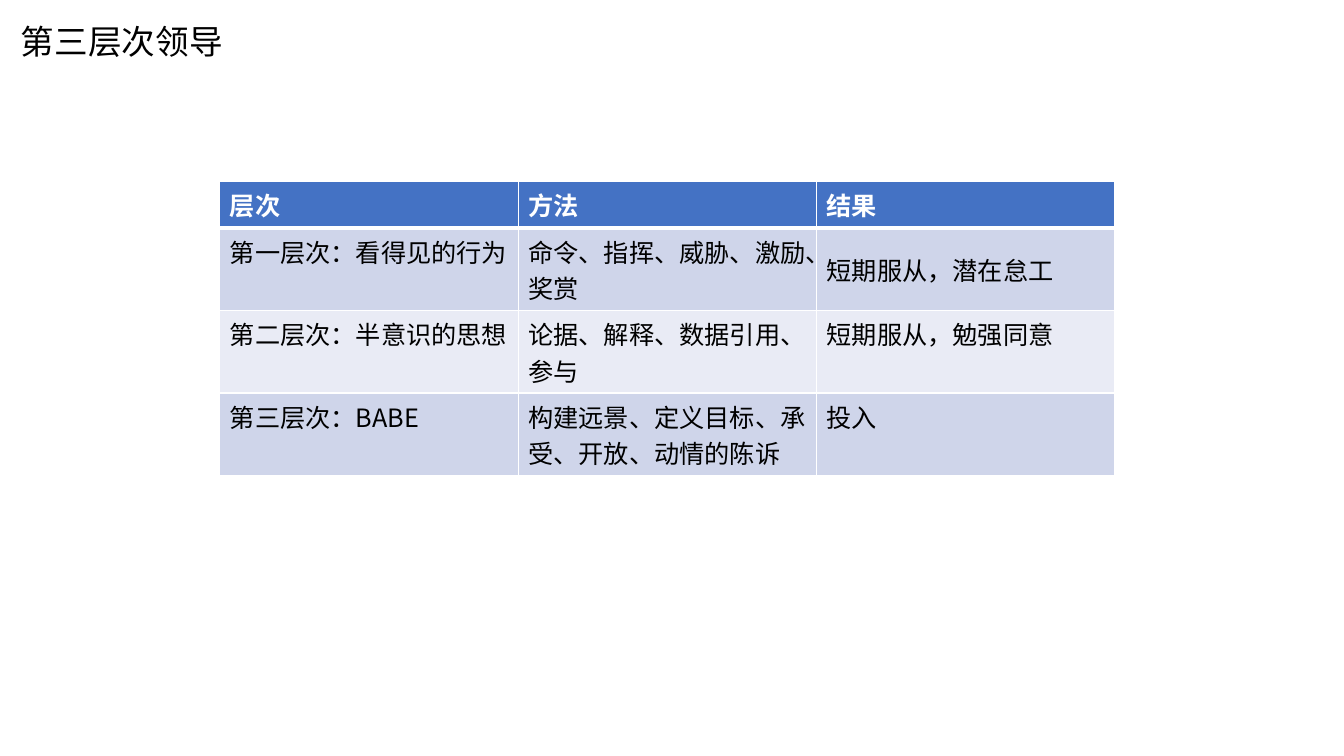
from lxml.etree import Element, SubElement
from pptx import Presentation
from pptx.dml.color import RGBColor
from pptx.enum.text import MSO_ANCHOR
from pptx.oxml.ns import qn
from pptx.util import Inches, Pt

FONT = "Noto Sans CJK SC"
BLACK = RGBColor(0x00, 0x00, 0x00)
WHITE = RGBColor(0xFF, 0xFF, 0xFF)
HEADER_BLUE = RGBColor(0x44, 0x72, 0xC4)
BAND_DARK = RGBColor(0xCF, 0xD5, 0xEA)
BAND_LIGHT = RGBColor(0xE9, 0xEB, 0xF5)
HEADER_HEIGHT = 0.46
LEVEL_HEIGHT = 0.82
COLUMN_WIDTH = 2.96

LEVELS = [
    ("层次", "方法", "结果"),
    ("第一层次：看得见的行为", "命令、指挥、威胁、激励、奖赏", "短期服从，潜在怠工"),
    ("第二层次：半意识的思想", "论据、解释、数据引用、参与", "短期服从，勉强同意"),
    ("第三层次：BABE", "构建远景、定义目标、承受、开放、动情的陈诉", "投入"),
]


def add_text(paragraph, text, size, color, bold=False):
    run = paragraph.add_run()
    run.text = text
    run.font.size = Pt(size)
    run.font.bold = bold
    run.font.color.rgb = color
    run.font.name = FONT
    SubElement(run.font._element, qn("a:ea")).set("typeface", FONT)


def add_borders(cell, widths):
    properties = cell._tc.get_or_add_tcPr()
    for position, (side, width) in enumerate(widths.items()):
        border = Element(qn(f"a:ln{side}"), w=str(Pt(width)))
        fill = SubElement(border, qn("a:solidFill"))
        SubElement(fill, qn("a:srgbClr")).set("val", str(WHITE))
        properties.insert(position, border)


deck = Presentation()
deck.slide_width = Inches(13.33)
deck.slide_height = Inches(7.5)
slide = deck.slides.add_slide(deck.slide_layouts[6])

heading = slide.shapes.add_textbox(
    Inches(0.11), Inches(0.04), Inches(11.58), Inches(0.79)
).text_frame
heading.word_wrap = True
heading.vertical_anchor = MSO_ANCHOR.MIDDLE
heading.paragraphs[0].line_spacing = 0.9
add_text(heading.paragraphs[0], "第三层次领导", 24, BLACK)

column_count = len(LEVELS[0])
level_grid = slide.shapes.add_table(
    len(LEVELS), column_count,
    Inches(2.18), Inches(1.8),
    Inches(COLUMN_WIDTH * column_count),
    Inches(HEADER_HEIGHT + LEVEL_HEIGHT * (len(LEVELS) - 1)),
).table

for row, entries in enumerate(LEVELS):
    is_header = row == 0
    band = HEADER_BLUE if is_header else BAND_DARK if row % 2 else BAND_LIGHT
    level_grid.rows[row].height = Inches(HEADER_HEIGHT if is_header else LEVEL_HEIGHT)
    for column, entry in enumerate(entries):
        cell = level_grid.cell(row, column)
        cell.fill.solid()
        cell.fill.fore_color.rgb = band
        add_borders(cell, {"L": 1, "R": 1, "T": 3 if row == 1 else 1,
                           "B": 3 if is_header else 1})
        add_text(cell.text_frame.paragraphs[0], entry, 18,
                 WHITE if is_header else BLACK, is_header)

level_grid.cell(1, 2).vertical_anchor = MSO_ANCHOR.MIDDLE

deck.save("out.pptx")
